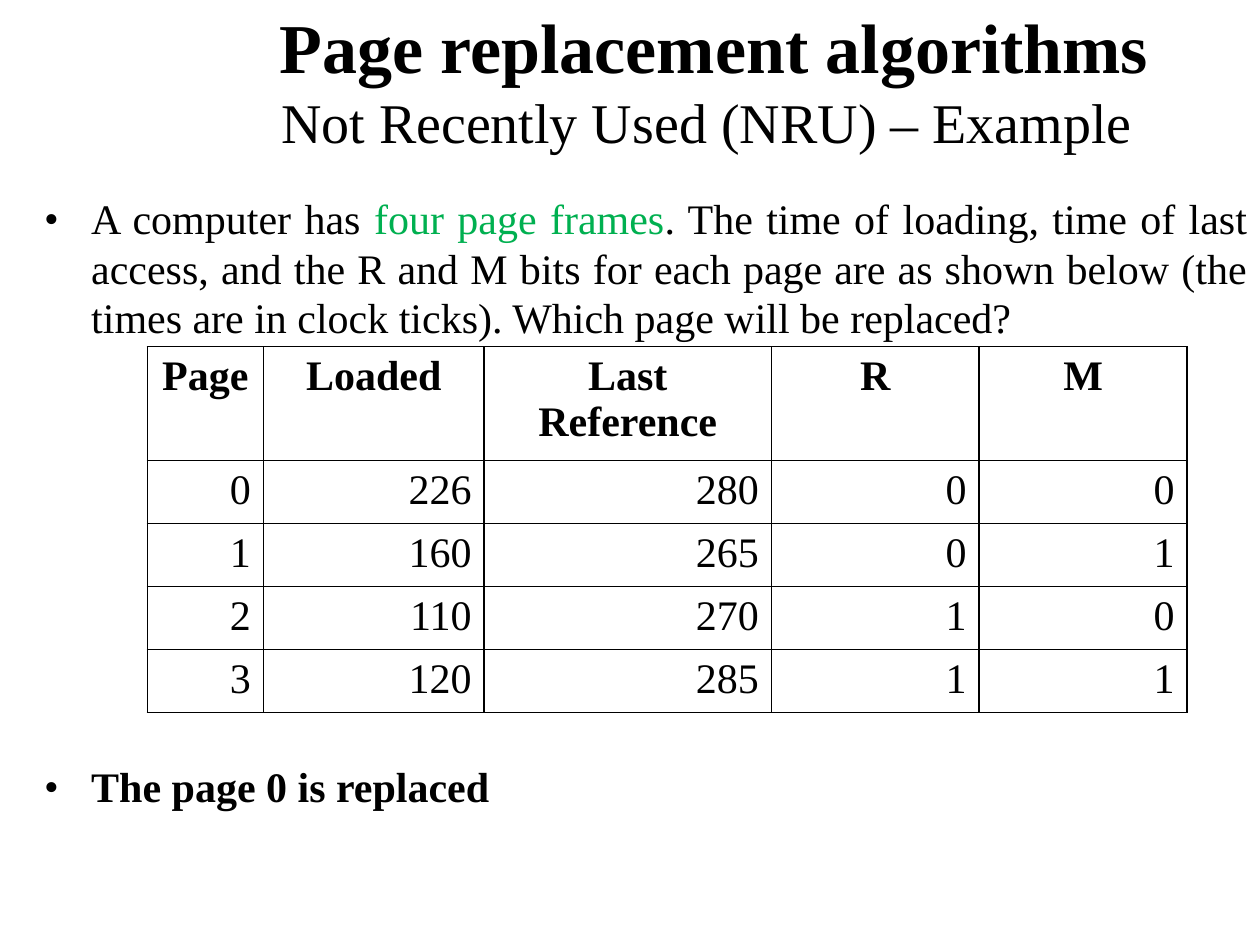
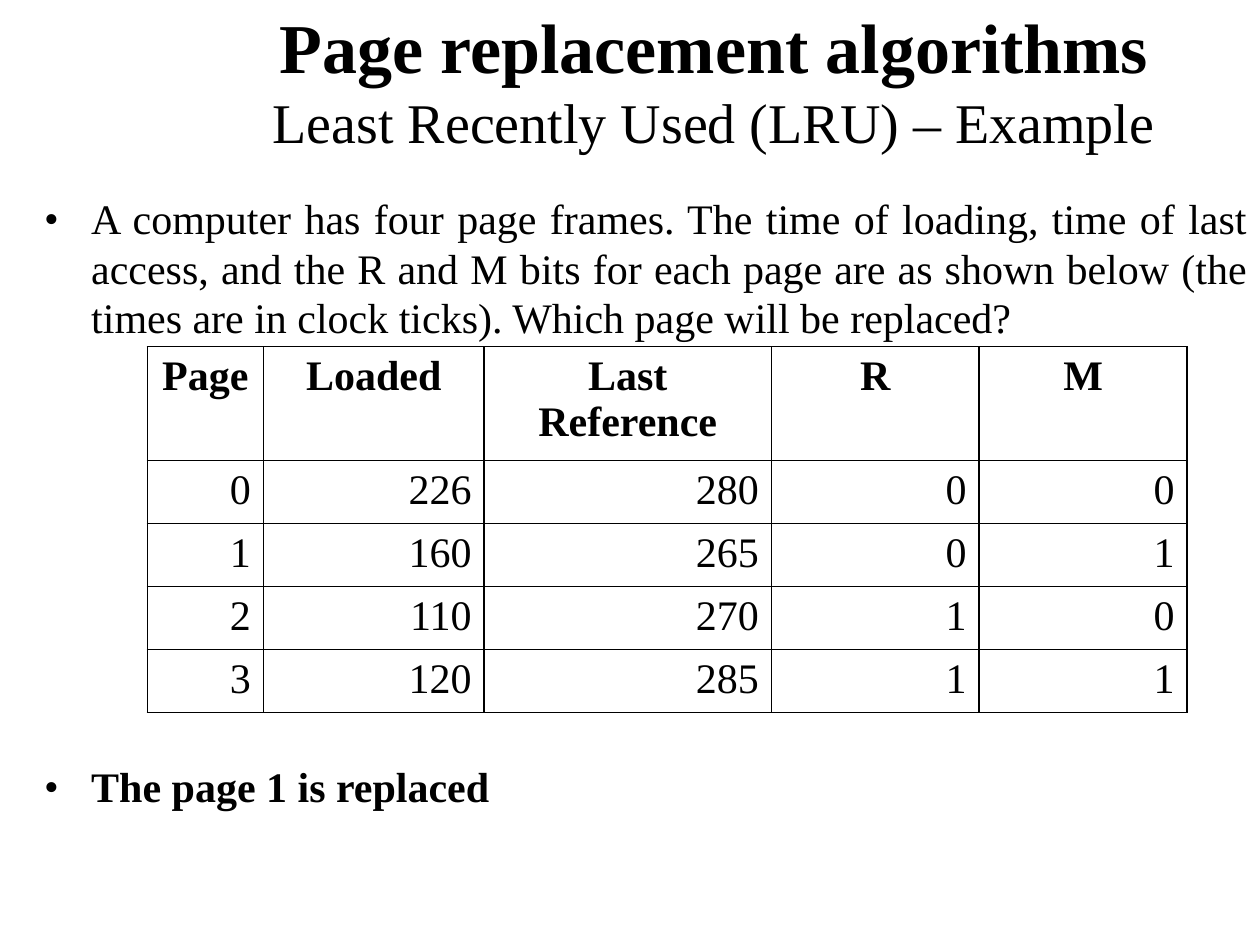
from copy import deepcopy

from lxml import etree
from pptx import Presentation
from pptx.dml.color import RGBColor
from pptx.enum.text import MSO_ANCHOR, MSO_AUTO_SIZE, PP_ALIGN
from pptx.oxml.ns import qn
from pptx.util import Cm, Pt

CENTER, RIGHT, JUSTIFY = PP_ALIGN.CENTER, PP_ALIGN.RIGHT, PP_ALIGN.JUSTIFY
MIDDLE = MSO_ANCHOR.MIDDLE
NO_FIT = MSO_AUTO_SIZE.NONE

COLORS = {"text": "000000", "accent": "00B050", "cell": "FFFFFF"}
FONT = "Times New Roman"
TITLE_ONLY = 5

QUESTION = [
    "A computer has ",
    "four page frames",
    ". The time of loading, time of last access, and the R and M bits for each "
    "page are as shown below (the times are in clock ticks). "
    "Which page will be replaced?",
]
PAGE_TABLE = [
    ["Page", "Loaded", "Last Reference", "R", "M"],
    [0, 226, 280, 0, 0],
    [1, 160, 265, 0, 1],
    [2, 110, 270, 1, 0],
    [3, 120, 285, 1, 1],
]
COLUMN_WIDTHS = [2.34, 4.45, 5.79, 4.19, 4.19]
HEADER_HEIGHT, ROW_HEIGHT = 2.29, 1.27

# Subtitle, colour of "four page frames", answer
EXAMPLES = [
    ("Not Recently Used (NRU) – Example ", "accent", "The page 0 is replaced "),
    (" Least Recently Used (LRU) – Example ", "text", "The page 1 is replaced "),
]


def add_text(para, text, size=24, bold=False, color="text"):
    span = para.add_run()
    span.text = text
    span.font.name = FONT
    span.font.size = Pt(size)
    span.font.bold = bold
    span.font.color.rgb = RGBColor.from_string(COLORS[color])
    return span


def add_title(page, subtitle):
    title = page.shapes.title
    title.left, title.top = Cm(3.39), Cm(0)
    title.width, title.height = Cm(22.01), Cm(3.18)
    frame = title.text_frame
    frame.auto_size = NO_FIT
    frame.vertical_anchor = MIDDLE
    para = frame.paragraphs[0]
    para.alignment = CENTER
    heading = add_text(para, "Page replacement algorithms", size=40, bold=True)
    # The line break takes the heading's size
    para.add_line_break()
    para._p[-1].append(deepcopy(heading._r.rPr))
    add_text(para, subtitle, size=32)


def format_bullet(para, space_before=0):
    para.alignment = JUSTIFY
    para.line_spacing = 0.98
    para.space_before = Pt(space_before)
    props = para._p.get_or_add_pPr()
    props.set("marL", str(Cm(0.95)))
    props.set("indent", str(-Cm(0.95)))
    etree.SubElement(props, qn("a:buFont"), typeface=FONT)
    etree.SubElement(props, qn("a:buChar"), char="•")


def add_body(page, highlight, answer):
    box = page.shapes.add_textbox(Cm(0.64), Cm(3.81), Cm(24.76), Cm(15.24))
    frame = box.text_frame
    frame.word_wrap = True
    frame.auto_size = NO_FIT
    question = frame.paragraphs[0]
    format_bullet(question)
    for text, color in zip(QUESTION, ["text", highlight, "text"]):
        add_text(question, text, color=color)
    # The space before the answer leaves room for the table
    result = frame.add_paragraph()
    format_bullet(result, space_before=240)
    add_text(result, answer, bold=True)


def add_borders(cell):
    props = cell._tc.get_or_add_tcPr()
    for side in ("lnL", "lnR", "lnT", "lnB"):
        line = etree.SubElement(props, qn(f"a:{side}"), w=str(Pt(1)))
        fill = etree.SubElement(line, qn("a:solidFill"))
        etree.SubElement(fill, qn("a:srgbClr"), val=COLORS["text"])


def add_page_table(page):
    heights = [HEADER_HEIGHT] + [ROW_HEIGHT] * (len(PAGE_TABLE) - 1)
    table = page.shapes.add_table(
        len(heights), len(COLUMN_WIDTHS), Cm(2.97), Cm(6.99),
        Cm(sum(COLUMN_WIDTHS)), Cm(sum(heights))).table
    table.horz_banding = False
    for column, width in zip(table.columns, COLUMN_WIDTHS):
        column.width = Cm(width)
    for index, (height, values) in enumerate(zip(heights, PAGE_TABLE)):
        table.rows[index].height = Cm(height)
        header = index == 0
        for cell, value in zip(table.rows[index].cells, values):
            add_borders(cell)
            cell.fill.solid()
            cell.fill.fore_color.rgb = RGBColor.from_string(COLORS["cell"])
            para = cell.text_frame.paragraphs[0]
            para.alignment = CENTER if header else RIGHT
            add_text(para, str(value), bold=header)


def main():
    deck = Presentation()
    deck.slide_width, deck.slide_height = Cm(25.4), Cm(19.05)
    for subtitle, highlight, answer in EXAMPLES:
        page = deck.slides.add_slide(deck.slide_layouts[TITLE_ONLY])
        add_title(page, subtitle)
        add_body(page, highlight, answer)
        add_page_table(page)
    deck.save("out.pptx")


main()
